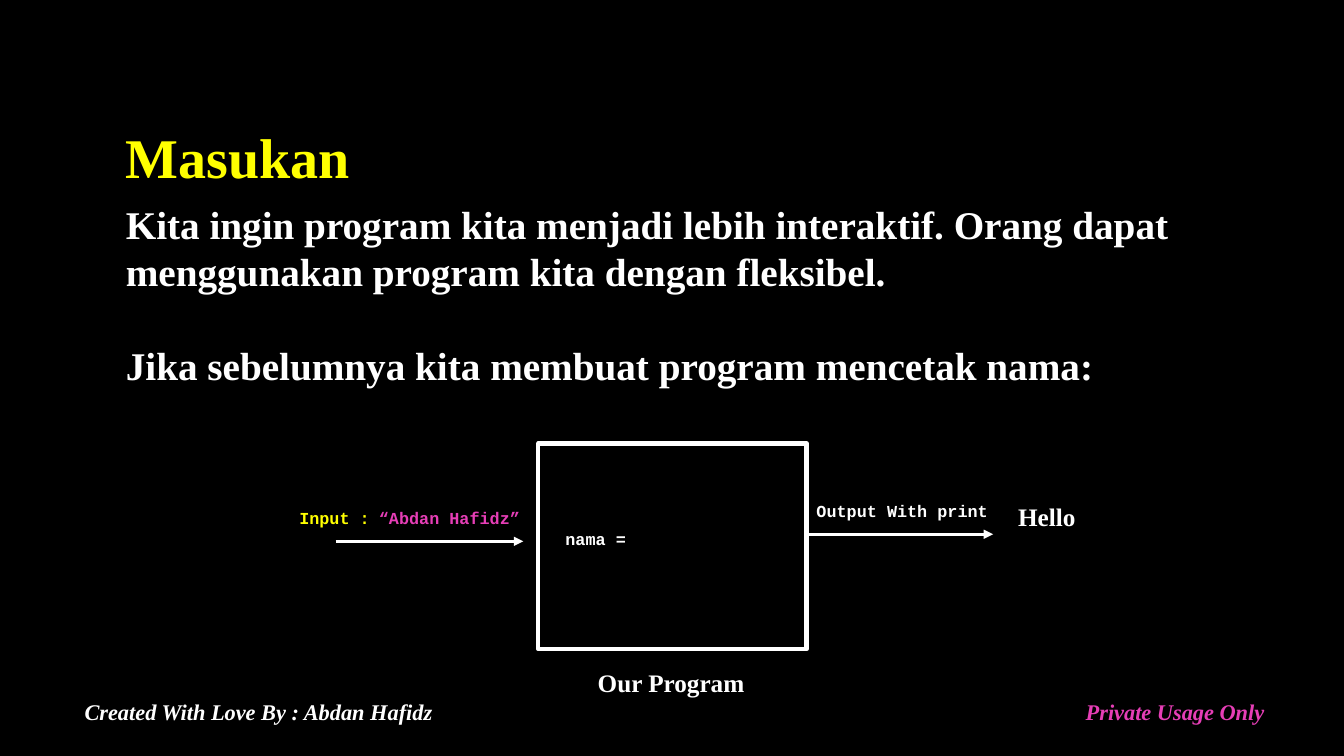
from pptx import Presentation
from pptx.dml.color import RGBColor
from pptx.enum.shapes import MSO_CONNECTOR, MSO_SHAPE
from pptx.enum.text import MSO_ANCHOR
from pptx.oxml.ns import qn
from pptx.util import Inches, Pt
from lxml import etree

BLACK = RGBColor(0x00, 0x00, 0x00)
WHITE = RGBColor(0xFF, 0xFF, 0xFF)
YELLOW = RGBColor(0xFF, 0xFF, 0x00)
PINK = RGBColor(0xE6, 0x3E, 0xB6)
SERIF = "Times New Roman"
MONO = "Courier New"


def add_text(s, x, y, w, h, text, size, color=WHITE, font=SERIF,
             italic=False, spacing=None, gap=0, anchor=MSO_ANCHOR.TOP):
    """Add bold text; each line of text is a paragraph, gap points apart."""
    sp = s.shapes.add_textbox(Inches(x), Inches(y), Inches(w), Inches(h))
    tf = sp.text_frame
    tf.word_wrap = True
    tf.vertical_anchor = anchor
    tf.text = text
    for i, p in enumerate(tf.paragraphs):
        p.line_spacing = spacing
        if i:
            p.space_before = Pt(gap)
        for r in p.runs:
            r.font.name = font
            r.font.size = Pt(size)
            r.font.bold = True
            r.font.italic = italic
            r.font.color.rgb = color


def add_arrow(s, x, y, length):
    line = s.shapes.add_connector(MSO_CONNECTOR.STRAIGHT, Inches(x), Inches(y),
                                  Inches(x + length), Inches(y))
    line.line.color.rgb = WHITE
    line.line.width = Pt(2.25)
    etree.SubElement(line.line._get_or_add_ln(), qn("a:tailEnd"), type="triangle")
    etree.SubElement(line._element.spPr, qn("a:effectLst"))


def add_explanation(s, x, y, w):
    add_text(s, x, y, 10, 1.14, "Masukan", 40, YELLOW, spacing=0.9,
             anchor=MSO_ANCHOR.BOTTOM)
    add_text(s, x, y + 1.14, w, 2.46,
             "Kita ingin program kita menjadi lebih interaktif. "
             "Orang dapat menggunakan program kita dengan fleksibel.\n"
             "Jika sebelumnya kita membuat program mencetak nama:", 28, gap=33)


def add_program_diagram(s, x, y, w, h):
    """Draw the program box at the given place, with input left and output right."""
    box = s.shapes.add_shape(MSO_SHAPE.RECTANGLE, Inches(x), Inches(y),
                             Inches(w), Inches(h))
    box.shadow.inherit = False
    box.fill.background()
    box.line.color.rgb = WHITE
    box.line.width = Pt(3)
    add_text(s, x + 0.17, y + 0.8, 2.33, 0.3, "nama =", 12, font=MONO)
    add_text(s, x + 0.49, y + h + 0.13, 3, 0.4, "Our Program", 18)

    add_text(s, x - 2.47, y + 0.59, 1, 0.3, "Input :", 12, YELLOW, MONO)
    add_text(s, x - 1.68, y + 0.59, 1.83, 0.3, "“Abdan Hafidz”", 12, PINK, MONO)
    add_arrow(s, x - 2.01, y + 0.97, 1.86)

    right = x + w
    add_text(s, right, y + 0.52, 2.33, 0.3, "Output With print", 12, font=MONO)
    add_arrow(s, right, y + 0.9, 1.85)
    add_text(s, right + 2, y + 0.52, 2, 0.4, "Hello", 18)


def add_footer(s, y, h):
    add_text(s, 0.74, y, 9, h, "Created With Love By : Abdan Hafidz", 16,
             italic=True, spacing=0.9)
    add_text(s, 10.67, y, 2.66, h, "Private Usage Only", 16, PINK,
             italic=True, spacing=0.9)


def main():
    prs = Presentation()
    prs.slide_width = Inches(13.33)
    prs.slide_height = Inches(7.5)
    s = prs.slides.add_slide(prs.slide_layouts[6])
    s.background.fill.solid()
    s.background.fill.fore_color.rgb = BLACK
    add_explanation(s, 1.15, 0.8, 11.13)
    add_program_diagram(s, 5.34, 4.4, 2.66, 2.04)
    add_footer(s, 6.91, 0.51)
    prs.save("out.pptx")


if __name__ == "__main__":
    main()
